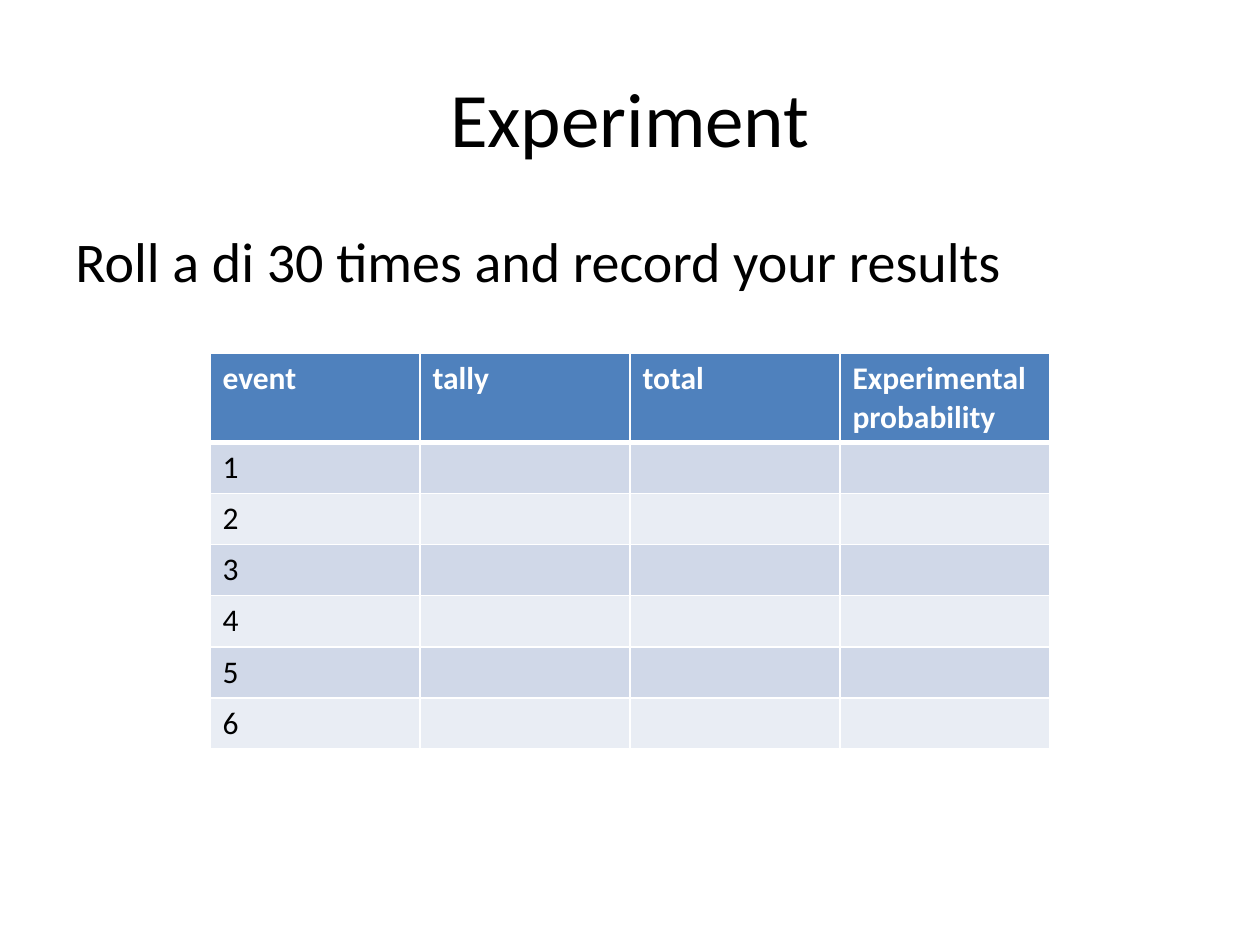
from dataclasses import dataclass

import pptx
import pptx.dml.color
import pptx.enum.text
import pptx.oxml
import pptx.oxml.ns
import pptx.util

Pt = pptx.util.Pt
RGBColor = pptx.dml.color.RGBColor
PP_ALIGN = pptx.enum.text.PP_ALIGN
MSO_ANCHOR = pptx.enum.text.MSO_ANCHOR

BLACK = RGBColor(0x00, 0x00, 0x00)
WHITE = RGBColor(0xFF, 0xFF, 0xFF)
HEADER_BLUE = RGBColor(0x4F, 0x81, 0xBD)
BANDS = (RGBColor(0xD0, 0xD8, 0xE8), RGBColor(0xE9, 0xED, 0xF4))

HEADINGS = ("event", "tally", "total", "Experimental probability")
DIE_FACES = range(1, 7)
COLUMN_WIDTH = 120
HEADER_HEIGHT = 50.8
ROW_HEIGHT = 29.2
THIN, THICK = 1, 3


@dataclass(frozen=True)
class TextBlock:
    wording: str
    top: float
    height: float
    size: float
    align: PP_ALIGN
    anchor: MSO_ANCHOR


TEXT_BLOCKS = (
    TextBlock("Experiment", 21.6, 90, 44, PP_ALIGN.CENTER, MSO_ANCHOR.MIDDLE),
    TextBlock("Roll a di 30 times and record your results", 126, 356.4, 32,
              PP_ALIGN.LEFT, MSO_ANCHOR.TOP),
)


def write(paragraph, wording: str, size: float, color: RGBColor, bold: bool = False) -> None:
    run = paragraph.add_run()
    run.text = wording
    run.font.color.rgb = color
    for attribute, value in {"name": "Calibri", "size": Pt(size), "bold": bold}.items():
        setattr(run.font, attribute, value)


def draw_text(slide, block: TextBlock) -> None:
    frame = slide.shapes.add_textbox(Pt(36), Pt(block.top), Pt(648), Pt(block.height)).text_frame
    for attribute, value in {"word_wrap": True, "vertical_anchor": block.anchor}.items():
        setattr(frame, attribute, value)
    frame.paragraphs[0].alignment = block.align
    write(frame.paragraphs[0], block.wording, block.size, BLACK)


def set_borders(cell, top: float, bottom: float) -> None:
    properties = cell._tc.get_or_add_tcPr()
    for side, width in {"L": THIN, "R": THIN, "T": top, "B": bottom}.items():
        properties.append(pptx.oxml.parse_xml(
            f'<a:ln{side} {pptx.oxml.ns.nsdecls("a")} w="{Pt(width)}">'
            f'<a:solidFill><a:srgbClr val="{WHITE}"/></a:solidFill></a:ln{side}>'))


def draw_results_table(slide) -> None:
    records = [HEADINGS] + [(str(face), "", "", "") for face in DIE_FACES]
    height = HEADER_HEIGHT + ROW_HEIGHT * len(DIE_FACES)
    table = slide.shapes.add_table(len(records), len(HEADINGS), Pt(120), Pt(202),
                                   Pt(COLUMN_WIDTH * len(HEADINGS)), Pt(height)).table
    for column in table.columns:
        column.width = Pt(COLUMN_WIDTH)
    for index, record in enumerate(records):
        is_header = index == 0
        table.rows[index].height = Pt(HEADER_HEIGHT if is_header else ROW_HEIGHT)
        for cell, wording in zip(table.rows[index].cells, record):
            set_borders(cell, THICK if index == 1 else THIN, THICK if is_header else THIN)
            cell.fill.solid()
            cell.fill.fore_color.rgb = HEADER_BLUE if is_header else BANDS[(index - 1) % 2]
            if wording:
                write(cell.text_frame.paragraphs[0], wording, 18,
                      WHITE if is_header else BLACK, is_header)


def main() -> None:
    deck = pptx.Presentation()
    deck.slide_width, deck.slide_height = Pt(720), Pt(540)
    slide = deck.slides.add_slide(deck.slide_layouts[6])
    for block in TEXT_BLOCKS:
        draw_text(slide, block)
    draw_results_table(slide)
    deck.save("out.pptx")


if __name__ == "__main__":
    main()
